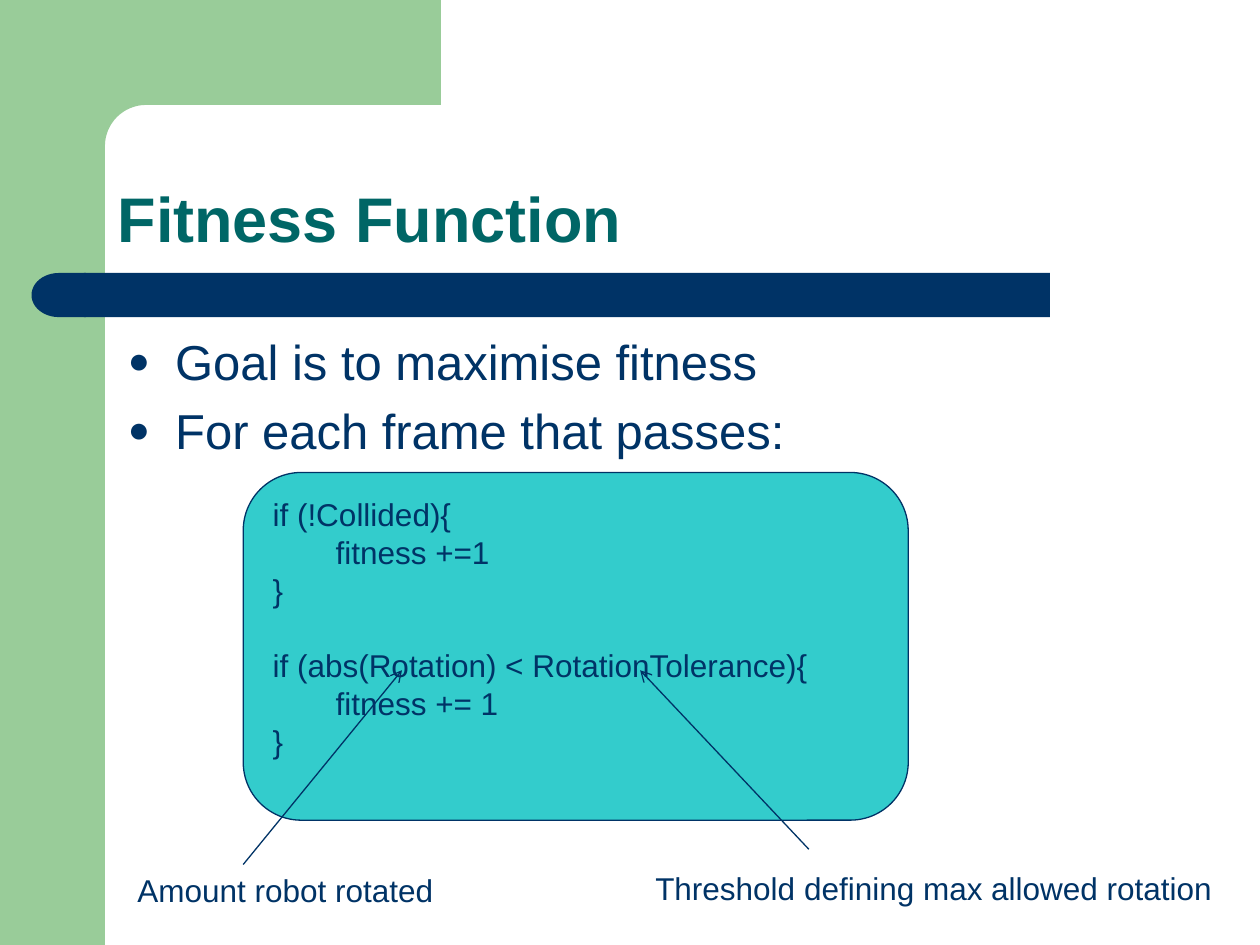
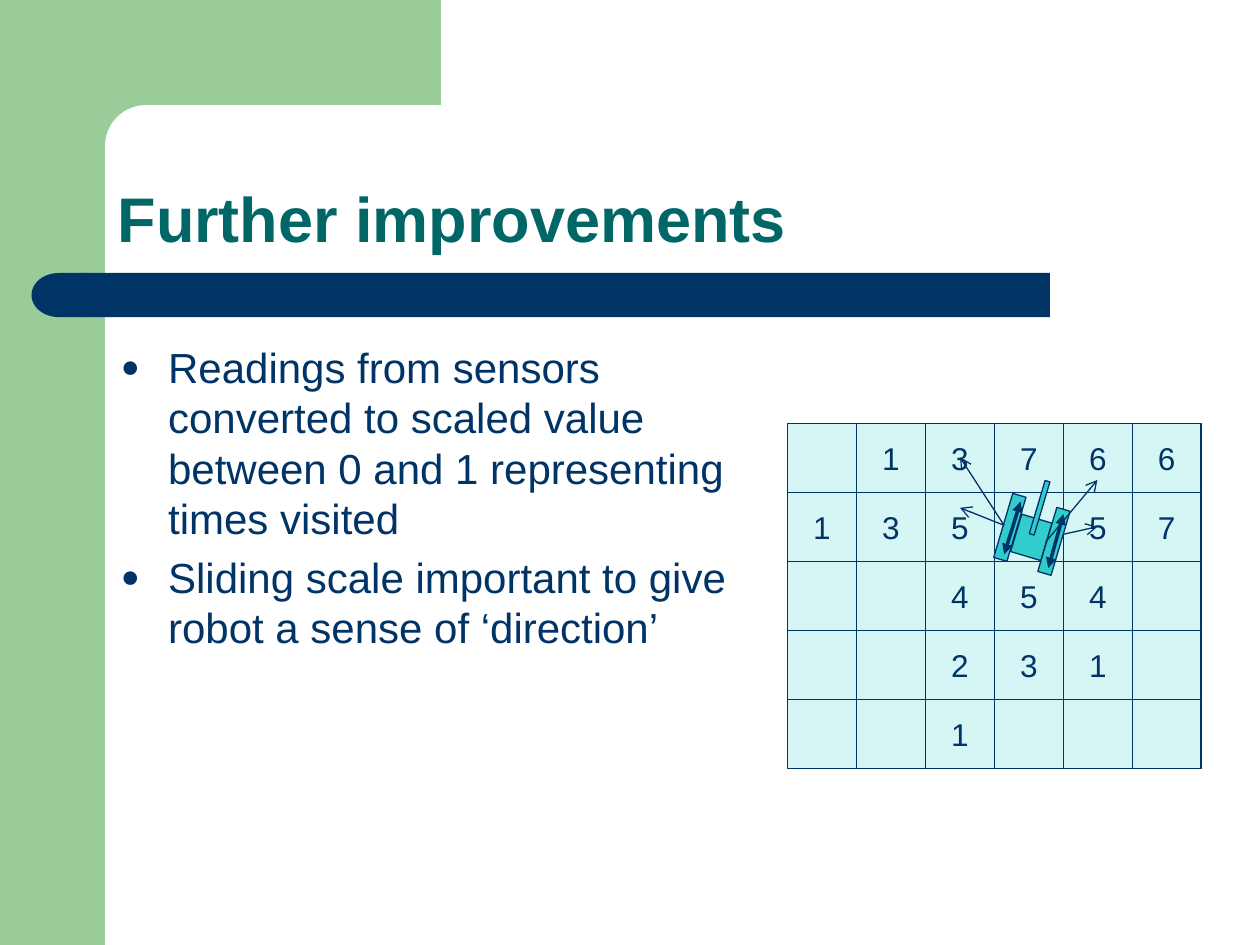
from math import cos, pi, sin

from lxml.etree import SubElement
from pptx import Presentation
from pptx.dml.color import RGBColor
from pptx.enum.shapes import MSO_CONNECTOR, MSO_SHAPE
from pptx.enum.text import MSO_ANCHOR, MSO_AUTO_SIZE, PP_ALIGN
from pptx.oxml.ns import qn
from pptx.util import Pt

NAVY = RGBColor(0x00, 0x33, 0x66)
TEAL = RGBColor(0x00, 0x66, 0x66)
GREEN = RGBColor(0x99, 0xCC, 0x99)
TURQUOISE = RGBColor(0x33, 0xCC, 0xCC)
PALE = RGBColor(0xD6, 0xF5, 0xF5)
FONT = "Arial"
LINE_HEIGHT = 21.6

CODE = [
    "if (!Collided){",
    "\tfitness +=1",
    "}",
    "if (abs(Rotation) < RotationTolerance){",
    "\tfitness += 1",
    "}",
]
SECOND_IF = 3

VISITS = [
    " 13766",
    "135 57",
    "  454 ",
    "  231 ",
    "  1   ",
]
GRID_LEFT, GRID_TOP, CELL = 450, 242, 39.4

ROBOT_ANGLE = 196.6
ROBOT_PARTS = [
    (580.3, 295.9, 18, 22.3),
    (573.1, 282.2, 7.9, 38.2),
    (592.6, 274.3, 2.9, 31.7),
    (598.3, 290.2, 7.9, 38.2),
]
TRACK_ARROWS = [
    ((573.8, 316.8), (583.2, 286.6)),
    ((599, 324.7), (607.7, 293.8)),
]
SENSOR_ARROWS = [
    ((607.7, 305.3), (627.1, 301)),
    ((573.8, 300.2), (548.6, 290.2)),
    ((573.8, 300.2), (548.6, 261.4)),
    ((597.6, 309.6), (627.1, 274.3)),
]


def format_text(p, size, color=NAVY, bold=False, align=PP_ALIGN.LEFT):
    p.alignment = align
    for r in p.runs:
        r.font.name = FONT
        r.font.size = Pt(size)
        r.font.bold = bold
        r.font.color.rgb = color


def paint(sp, fill, outlined):
    sp.shadow.inherit = False
    sp.fill.solid()
    sp.fill.fore_color.rgb = fill
    if outlined:
        sp.line.color.rgb = NAVY
        sp.line.width = Pt(0.75)
    else:
        sp.line.fill.background()


def add_box(shapes, kind, box, fill, outlined=True, rotation=0):
    sp = shapes.add_shape(kind, *map(Pt, box))
    sp.rotation = rotation
    paint(sp, fill, outlined)
    return sp


def add_arrow(shapes, start, end, width=0.75, head=None, tail="arrow"):
    line = shapes.add_connector(MSO_CONNECTOR.STRAIGHT, *map(Pt, start + end))
    line.line.color.rgb = NAVY
    line.line.width = Pt(width)
    sp_pr = line.element.spPr
    ln = sp_pr.find(qn("a:ln"))
    for tag, style in (("a:headEnd", head), ("a:tailEnd", tail)):
        if style:
            SubElement(ln, qn(tag), type=style)
    SubElement(sp_pr, qn("a:effectLst"))


def add_corner(s):
    center, radius = 83.5, 23.5
    arc = [
        (center - radius * sin(a), center - radius * cos(a))
        for a in (i * pi / 32 for i in range(17))
    ]
    points = [(252, 60), *arc, (60, 92), (36, 92), (36, 0)]
    builder = s.shapes.build_freeform(Pt(252), 0)
    builder.add_line_segments([(Pt(x), Pt(y)) for x, y in points])
    paint(builder.convert_to_shape(), GREEN, False)


def add_slide(prs, title):
    s = prs.slides.add_slide(prs.slide_layouts[5])
    add_box(s.shapes, MSO_SHAPE.RECTANGLE, (0, 0, 60, 540), GREEN, False)
    add_corner(s)
    add_box(s.shapes, MSO_SHAPE.RECTANGLE, (48, 156, 552, 25.2), NAVY, False)
    add_box(s.shapes, MSO_SHAPE.FLOWCHART_DELAY, (18, 156, 31, 25.2), NAVY, False, 180)
    sp = s.shapes.title
    sp.left, sp.top, sp.width, sp.height = map(Pt, (60, 60, 624, 90))
    tf = sp.text_frame
    tf.text = title
    tf.auto_size = MSO_AUTO_SIZE.NONE
    tf.vertical_anchor = MSO_ANCHOR.BOTTOM
    p = tf.paragraphs[0]
    p.line_spacing = 0.9
    format_text(p, 36, TEAL, bold=True)
    return s


def add_bullets(s, box, lines, size):
    tf = s.shapes.add_textbox(*map(Pt, box)).text_frame
    tf.word_wrap = True
    tf.text = "\n".join(lines)
    for i, p in enumerate(tf.paragraphs):
        p_pr = p._p.get_or_add_pPr()
        p_pr.set("marL", str(Pt(27)))
        p_pr.set("indent", str(Pt(-27)))
        color = SubElement(p_pr, qn("a:buClr"))
        SubElement(color, qn("a:srgbClr"), val=str(NAVY))
        SubElement(p_pr, qn("a:buSzPct"), val="75000")
        SubElement(p_pr, qn("a:buFont"), typeface=FONT)
        SubElement(p_pr, qn("a:buChar"), char="●")
        if i:
            p.space_before = Pt(0.2 * size)
        format_text(p, size)


def add_label(s, box, text):
    tf = s.shapes.add_textbox(*map(Pt, box)).text_frame
    tf.word_wrap = False
    tf.text = text
    format_text(tf.paragraphs[0], 18, align=PP_ALIGN.CENTER)


def add_code(s, box):
    sp = add_box(s.shapes, MSO_SHAPE.ROUNDED_RECTANGLE, box, TURQUOISE)
    tf = sp.text_frame
    tf.word_wrap = True
    tf.vertical_anchor = MSO_ANCHOR.MIDDLE
    tf.margin_bottom = Pt(3.6 + LINE_HEIGHT)
    tf.text = "\n".join(CODE)
    for p in tf.paragraphs:
        format_text(p, 18)
    tf.paragraphs[SECOND_IF].space_before = Pt(LINE_HEIGHT)


def add_visit_grid(s):
    for row, counts in enumerate(VISITS):
        for col, count in enumerate(counts):
            box = (GRID_LEFT + col * CELL, GRID_TOP + row * CELL, CELL, CELL)
            sp = add_box(s.shapes, MSO_SHAPE.RECTANGLE, box, PALE)
            if count != " ":
                tf = sp.text_frame
                tf.word_wrap = False
                tf.vertical_anchor = MSO_ANCHOR.MIDDLE
                tf.text = count
                format_text(tf.paragraphs[0], 18, align=PP_ALIGN.CENTER)


def add_robot(s):
    robot = s.shapes.add_group_shape()
    for box in ROBOT_PARTS:
        add_box(robot.shapes, MSO_SHAPE.RECTANGLE, box, TURQUOISE, rotation=ROBOT_ANGLE)
    for start, end in TRACK_ARROWS:
        add_arrow(robot.shapes, start, end, 2, "triangle", "triangle")
    for start, end in SENSOR_ARROWS:
        add_arrow(s.shapes, start, end)


def add_fitness_slide(prs):
    s = add_slide(prs, "Fitness Function")
    lines = ["Goal is to maximise fitness", "For each frame that passes:"]
    add_bullets(s, (66, 186, 605.5, 293), lines, 28)
    add_code(s, (139, 270, 380, 198.7))
    add_label(s, (70.6, 494, 185, 28.8), "Amount robot rotated")
    add_arrow(s.shapes, (139, 494), (229.7, 383))
    add_label(s, (365.8, 493.2, 335.5, 28.8), "Threshold defining max allowed rotation")
    add_arrow(s.shapes, (462.2, 485.3), (365.8, 383))


def add_improvements_slide(prs):
    s = add_slide(prs, "Further improvements")
    lines = [
        "Readings from sensors converted to scaled value "
        "between 0 and 1 representing times visited",
        "Sliding scale important to give robot a sense of ‘direction’",
    ]
    add_bullets(s, (62, 191.5, 388.8, 340), lines, 24)
    add_visit_grid(s)
    add_robot(s)


def main():
    prs = Presentation()
    prs.slide_width, prs.slide_height = Pt(720), Pt(540)
    add_fitness_slide(prs)
    add_improvements_slide(prs)
    prs.save("out.pptx")


if __name__ == "__main__":
    main()
